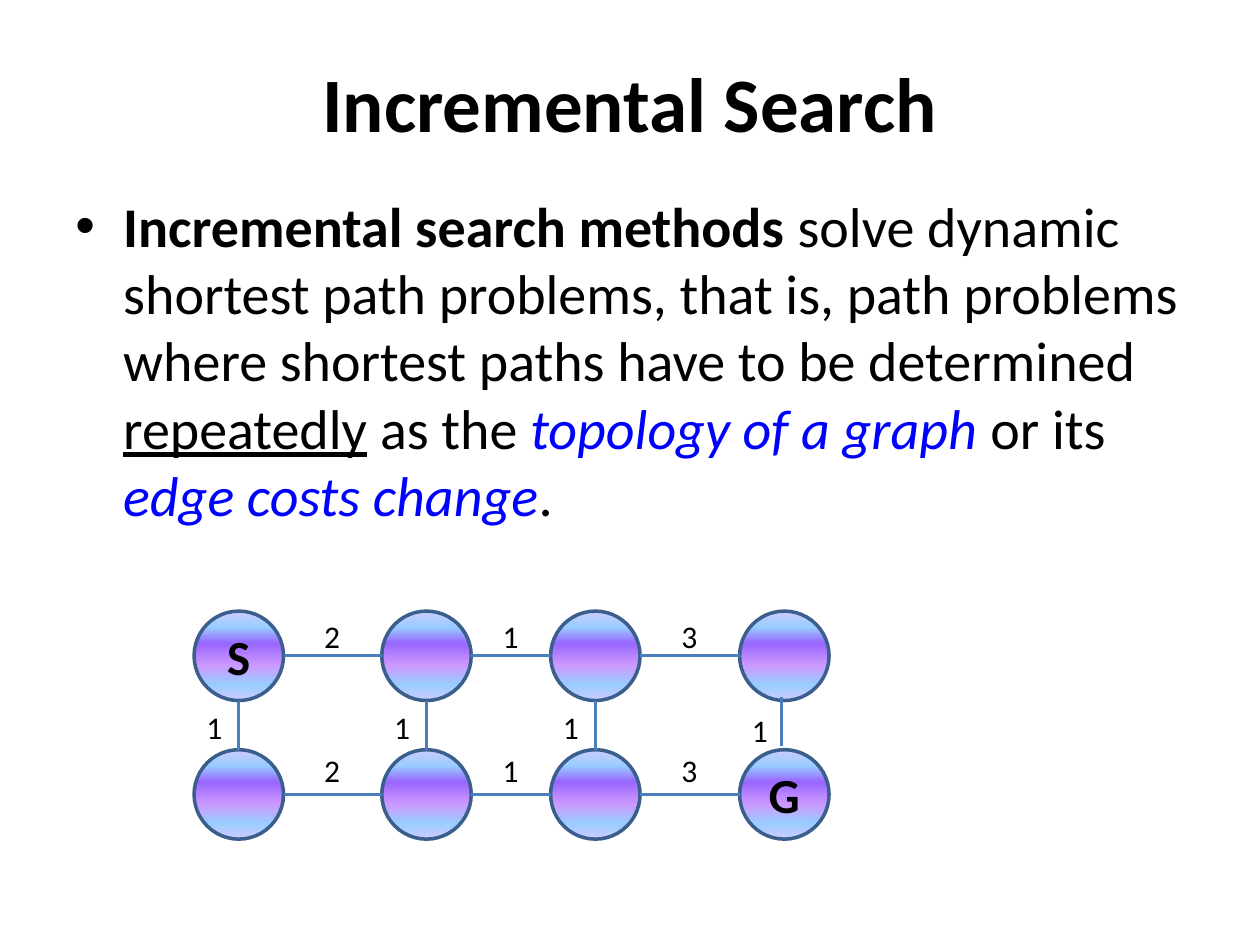
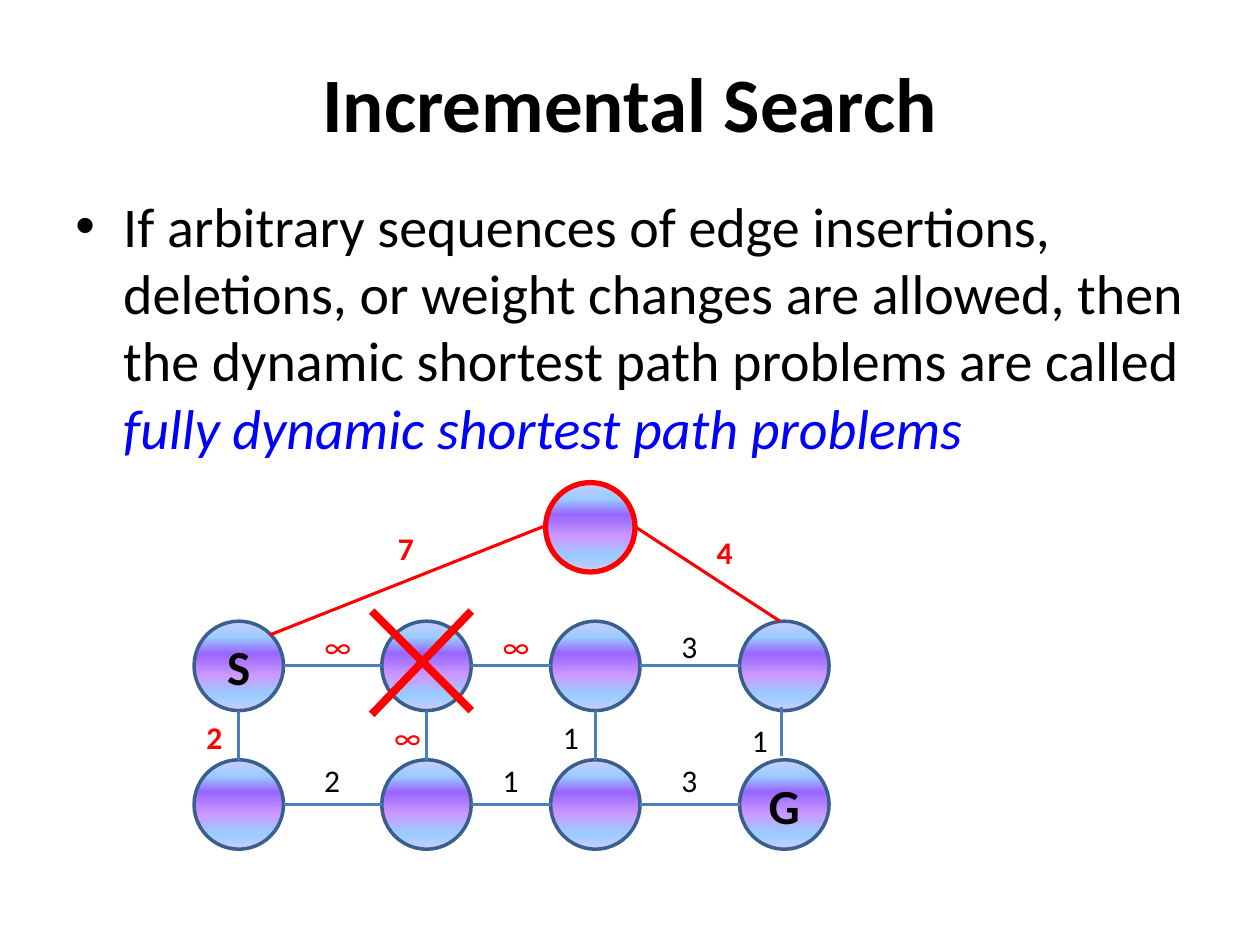
from dataclasses import dataclass

from lxml import etree
from pptx import Presentation
from pptx.dml.color import RGBColor
from pptx.enum.shapes import MSO_CONNECTOR, MSO_SHAPE
from pptx.enum.text import MSO_ANCHOR, MSO_AUTO_SIZE, PP_ALIGN
from pptx.oxml.ns import qn
from pptx.util import Inches, Pt

STRAIGHT = MSO_CONNECTOR.STRAIGHT
OVAL = MSO_SHAPE.OVAL
MIDDLE = MSO_ANCHOR.MIDDLE
GROW = MSO_AUTO_SIZE.SHAPE_TO_FIT_TEXT
CENTER = PP_ALIGN.CENTER
TITLE_ONLY = 5


@dataclass(frozen=True)
class Theme:
    """Colours, font and type sizes shared by the slides."""
    font: str = "Calibri"
    ink: str = "000000"
    accent: str = "0000FF"
    change: str = "FF0000"
    edge: str = "4B7EBC"
    outline: str = "3A5F8C"
    gradient: tuple = ((0, "CCCCFF"), (18, "99CCFF"), (36, "9966FF"),
                       (61, "CC99FF"), (82, "99CCFF"), (100, "CCCCFF"))
    title_size: int = 44
    body_size: int = 32
    node_size: int = 28
    label_size: int = 18
    edge_width: float = 1.75


@dataclass(frozen=True)
class Box:
    """A region in inches."""
    left: float
    top: float
    width: float
    height: float

    def lengths(self):
        """Return the four lengths that place a shape."""
        return [Inches(n) for n in (self.left, self.top, self.width, self.height)]


THEME = Theme()
TITLE_BOX = Box(0.5, 0.3, 9, 1.01)
BODY_BOX = Box(0.5, 1.47, 9, 5.23)
NODE = 0.71
COLUMNS = (0, 1.49, 2.83, 4.33)
ROW_STEP = 1.1
LABEL_WIDTH = 0.33
INFINITY_WIDTH = 0.42


def style_font(font, size, color=THEME.ink, bold=False):
    """Set the typeface, size, colour and weight of a font."""
    font.name = THEME.font
    font.size = Pt(size)
    font.bold = bold
    font.color.rgb = RGBColor.from_string(color)


def add_title(page, box, text):
    """Place and format the title placeholder."""
    title = page.shapes.title
    title.left, title.top, title.width, title.height = box.lengths()
    title.text_frame.text = text
    title.text_frame.vertical_anchor = MIDDLE
    para = title.text_frame.paragraphs[0]
    para.alignment = CENTER
    style_font(para.font, THEME.title_size, bold=True)


def add_body(page, box, pieces):
    """Write one bulleted paragraph from (text, style) pieces."""
    frame = page.shapes.add_textbox(*box.lengths()).text_frame
    frame.word_wrap = True
    para = frame.paragraphs[0]
    para.space_before = Pt(0.2 * THEME.body_size)
    style_font(para.font, THEME.body_size)
    props = para._p.get_or_add_pPr()
    props.set("marL", str(Inches(0.38)))
    props.set("indent", str(-Inches(0.38)))
    bullet_font = etree.Element(qn("a:buFont"), typeface="Arial")
    bullet = etree.Element(qn("a:buChar"), char="•")
    spacing = props.find(qn("a:spcBef"))
    spacing.addnext(bullet_font)
    bullet_font.addnext(bullet)
    for text, style in pieces:
        span = para.add_run()
        span.text = text
        if style == "bold":
            span.font.bold = True
        elif style == "underline":
            span.font.underline = True
        elif style == "accent":
            span.font.italic = True
            span.font.color.rgb = RGBColor.from_string(THEME.accent)


def add_node(page, left, top, name="", outline=THEME.outline, width=2):
    """Draw a graph node with its gradient and optional name."""
    node = page.shapes.add_shape(OVAL, *Box(left, top, NODE, NODE).lengths())
    node.shadow.inherit = False
    node.fill.gradient()
    node.fill.gradient_angle = 270
    stops = node._element.spPr.find(qn("a:gradFill")).find(qn("a:gsLst"))
    stops.clear()
    for percent, color in THEME.gradient:
        stop = etree.SubElement(stops, qn("a:gs"), pos=str(percent * 1000))
        etree.SubElement(stop, qn("a:srgbClr"), val=color)
    node.line.color.rgb = RGBColor.from_string(outline)
    node.line.width = Pt(width)
    if name:
        node.text_frame.text = name
        node.text_frame.vertical_anchor = MIDDLE
        para = node.text_frame.paragraphs[0]
        para.alignment = CENTER
        style_font(para.font, THEME.node_size, bold=True)


def add_edge(page, start, end, color=THEME.edge, width=THEME.edge_width):
    """Draw a straight line between two points."""
    edge = page.shapes.add_connector(STRAIGHT, *[Inches(n) for n in (*start, *end)])
    edge.line.color.rgb = RGBColor.from_string(color)
    edge.line.width = Pt(width)
    etree.SubElement(edge._element.spPr, qn("a:effectLst"))


def add_label(page, left, top, weight, changed=False):
    """Write an edge weight, in red when it has changed."""
    infinite = weight == "∞"
    width = INFINITY_WIDTH if infinite else LABEL_WIDTH
    frame = page.shapes.add_textbox(*Box(left, top, width, 0.4).lengths()).text_frame
    frame.word_wrap = False
    frame.auto_size = GROW
    frame.text = weight
    color = THEME.change if changed else THEME.ink
    style_font(frame.paragraphs[0].font, THEME.label_size, color, changed and not infinite)


def add_graph(page, box, across, down, changed=()):
    """Draw the two-row grid with weights across rows and down columns."""
    lefts = [box.left + offset for offset in COLUMNS]
    last = len(lefts) - 1
    names = {(0, 0): "S", (1, last): "G"}
    for row, weights in enumerate(across):
        top = box.top + row * ROW_STEP
        middle = top + NODE / 2
        for column, left in enumerate(lefts):
            add_node(page, left, top, names.get((row, column), ""))
        for column, weight in enumerate(weights):
            start, end = lefts[column] + NODE, lefts[column + 1]
            add_edge(page, (start, middle), (end, middle))
            add_label(page, (start + end - LABEL_WIDTH) / 2, top - 0.04 * row,
                      weight, ("across", row, column) in changed)
    for column, weight in enumerate(down):
        is_last = column == last
        x = lefts[column] + NODE / 2 - (0.02 if is_last else 0)
        y = box.top - (0.03 if is_last else 0)
        add_edge(page, (x, y + ROW_STEP), (x, y + NODE))
        add_label(page, lefts[column], box.top + (0.74 if is_last else 0.72),
                  weight, ("down", column) in changed)


def add_detour(page, box):
    """Cross out the second node and add a new node above the grid."""
    red = THEME.change

    def at(x, y):
        """Return a point relative to the grid."""
        return box.left + x, box.top + y

    add_edge(page, at(1.41, -0.08), at(2.2, 0.71), red, 4.5)
    add_edge(page, at(2.2, -0.08), at(1.41, 0.74), red, 4.5)
    add_node(page, *at(2.79, -1.1), outline=red, width=3)
    add_edge(page, at(0.6, 0.11), at(2.77, -0.75), red)
    add_edge(page, at(3.5, -0.75), at(4.65, 0), red)
    add_label(page, *at(1.52, -0.78), "7", True)
    add_label(page, *at(4.05, -0.75), "4", True)


def add_page(deck, pieces):
    """Add a slide with the shared title and its bullet."""
    page = deck.slides.add_slide(deck.slide_layouts[TITLE_ONLY])
    add_title(page, TITLE_BOX, "Incremental Search")
    add_body(page, BODY_BOX, pieces)
    return page


def main():
    """Build both slides and save the deck."""
    deck = Presentation()
    deck.slide_width, deck.slide_height = Inches(10), Inches(7.5)

    page = add_page(deck, [
        ("Incremental search methods ", "bold"),
        ("solve dynamic shortest path problems, that is, path problems where "
         "shortest paths have to be determined ", ""),
        ("repeatedly", "underline"),
        (" as the ", ""),
        ("topology of a graph ", "accent"),
        ("or its ", ""),
        ("edge costs change", "accent"),
        (".", ""),
    ])
    add_graph(page, Box(1.54, 4.85, 5.04, 1.81), ("213", "213"), "1111")

    page = add_page(deck, [
        ("If arbitrary sequences of edge insertions, deletions, or weight changes "
         "are allowed, then the dynamic shortest path problems are called ", ""),
        ("fully dynamic shortest path problems", "accent"),
    ])
    grid = Box(1.54, 4.93, 5.04, 1.81)
    changed = {("across", 0, 0), ("across", 0, 1), ("down", 0), ("down", 1)}
    add_graph(page, grid, ("∞∞3", "213"), "2∞11", changed)
    add_detour(page, grid)

    deck.save("out.pptx")


if __name__ == "__main__":
    main()
